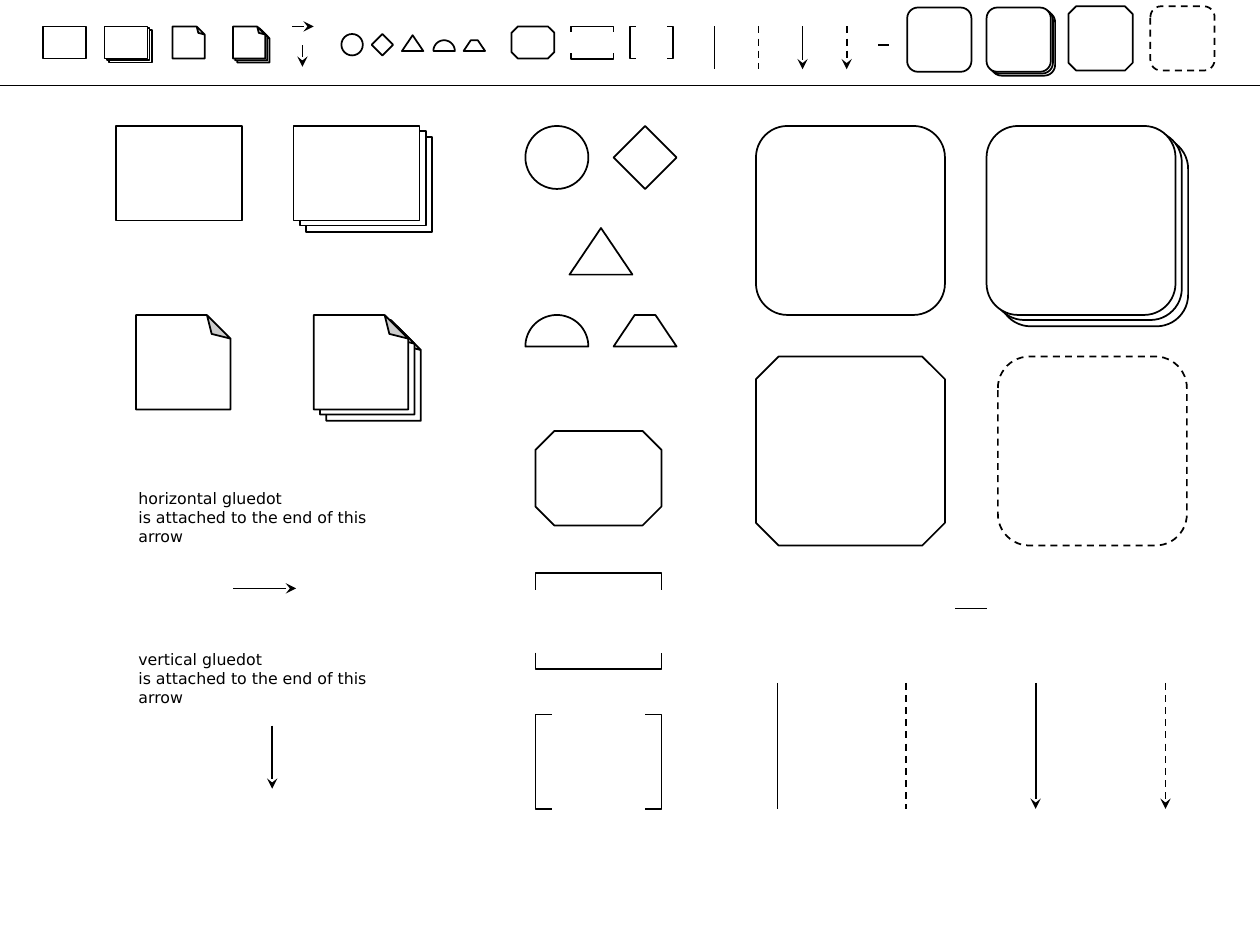
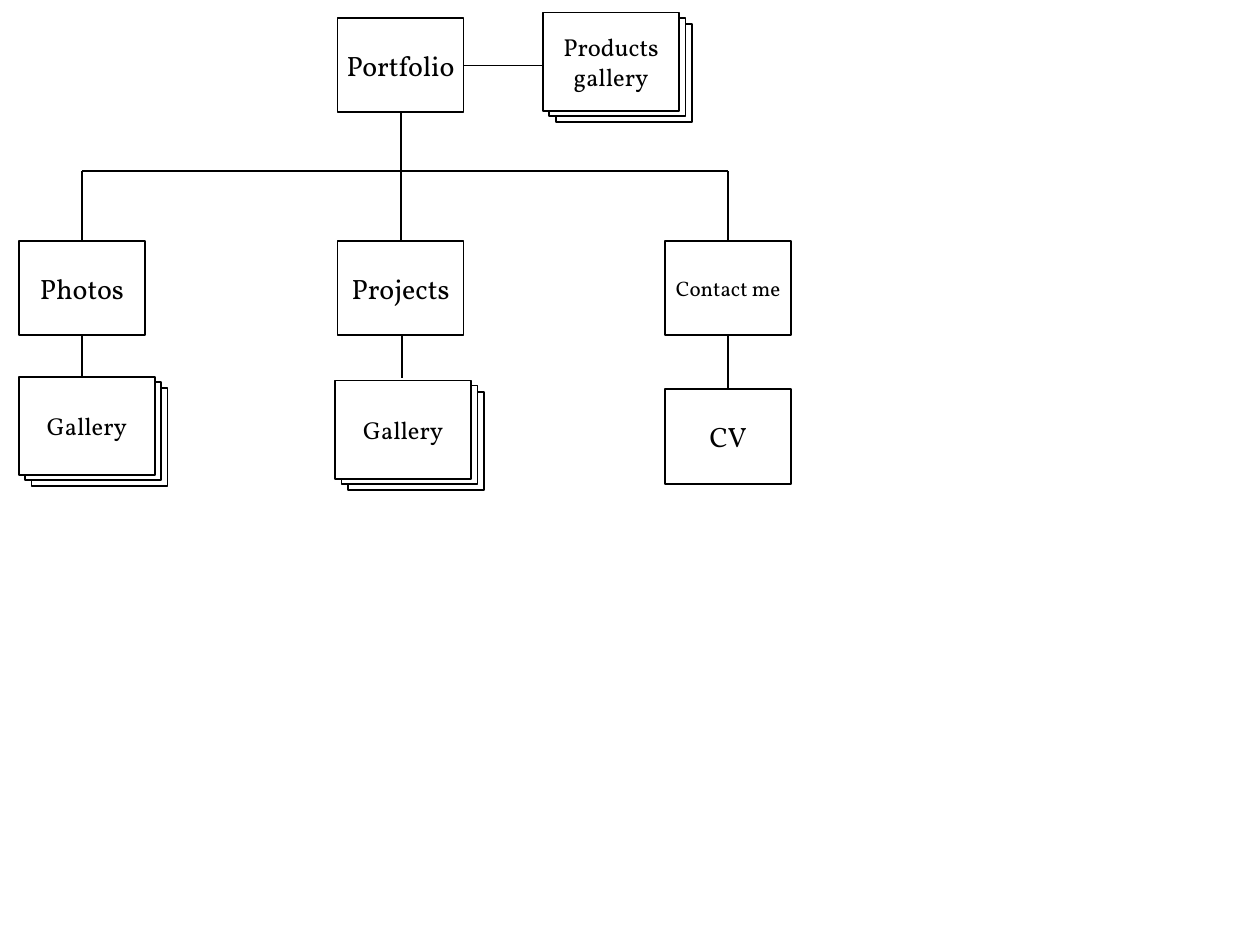
from dataclasses import dataclass
from math import cos, pi, sin

from lxml import etree
from pptx import Presentation
from pptx.dml.color import RGBColor
from pptx.enum.dml import MSO_LINE_DASH_STYLE as Dash
from pptx.enum.shapes import MSO_CONNECTOR, MSO_SHAPE as Kind
from pptx.enum.text import MSO_ANCHOR as Anchor, PP_ALIGN as Align
from pptx.oxml.ns import qn
from pptx.util import Inches, Pt


@dataclass(frozen=True)
class Theme:
    ink: RGBColor = RGBColor(0, 0, 0)
    paper: RGBColor = RGBColor(255, 255, 255)
    node_font: str = "Vollkorn"
    note_font: str = "DejaVu Sans"
    node_size: float = 16
    gallery_size: float = 14
    small_size: float = 12
    note_size: float = 9
    outline: float = 1
    divider: float = 0.75
    stack_offsets: tuple = ((0.1, 0.09), (0.05, 0.04))


theme = Theme()


def place(slide, kind, left, top, width=0, height=0, text="", scale=1, stacked=False,
          dashed=False, rotation=0, adjust=None, font=theme.node_font,
          size=theme.node_size, align=Align.CENTER, anchor=Anchor.MIDDLE, wrap=False):
    """Add a text box (kind None), an outline (kind a point list) or a preset shape."""
    if stacked:
        for dx, dy in theme.stack_offsets:
            place(slide, kind, left + dx * scale, top + dy * scale, width, height,
                  scale=scale, rotation=rotation, adjust=adjust)
    box = [Inches(left), Inches(top), Inches(width * scale), Inches(height * scale)]
    if kind is None:
        item = slide.shapes.add_textbox(*box)
    elif isinstance(kind, list):
        points = [(Inches(x * scale), Inches(y * scale)) for x, y in kind]
        builder = slide.shapes.build_freeform(*points[0])
        builder.add_line_segments(points[1:], close=False)
        item = builder.convert_to_shape(box[0], box[1])
    else:
        item = slide.shapes.add_shape(kind, *box)
        item.rotation = rotation
        if adjust is not None:
            guides = item._element.spPr.find(qn("a:prstGeom")).find(qn("a:avLst"))
            guides.clear()
            etree.SubElement(guides, qn("a:gd"), name="adj",
                             fmla=f"val {round(adjust * 100000)}")
    if kind is not None:
        item.shadow.inherit = False
        if isinstance(kind, list) and kind[0] != kind[-1]:
            item.fill.background()
        else:
            item.fill.solid()
            item.fill.fore_color.rgb = theme.paper
        item.line.color.rgb = theme.ink
        item.line.width = Pt(theme.outline)
        if dashed:
            item.line.dash_style = Dash.DASH
    if text:
        frame = item.text_frame
        frame.word_wrap = wrap
        frame.vertical_anchor = anchor
        for i, line in enumerate(text.split("\n")):
            paragraph = frame.add_paragraph() if i else frame.paragraphs[0]
            paragraph.alignment = align
            run = paragraph.add_run()
            run.text = line
            run.font.name, run.font.size = font, Pt(size)
            run.font.color.rgb = theme.ink


def connect(slide, x1, y1, x2, y2, dashed=False, arrow=False, weight=theme.outline):
    """Add a straight line, optionally dashed or with an arrowhead at its end."""
    link = slide.shapes.add_connector(
        MSO_CONNECTOR.STRAIGHT, Inches(x1), Inches(y1), Inches(x2), Inches(y2))
    link.line.color.rgb = theme.ink
    link.line.width = Pt(weight)
    if dashed:
        link.line.dash_style = Dash.DASH
    properties = link._element.spPr
    if arrow:
        etree.SubElement(properties.find(qn("a:ln")), qn("a:tailEnd"), type="stealth")
    etree.SubElement(properties, qn("a:effectLst"))


deck = Presentation()
deck.slide_width, deck.slide_height = Inches(10), Inches(7.5)
blank = deck.slide_layouts[6]

# Slide 1: stencil sheet, each symbol at full size and again in the palette on top
stencils = deck.slides.add_slide(blank)
PALETTE_SCALE = 0.34

arc = [(0.25 - 0.25 * cos(pi * i / 36), 0.25 - 0.25 * sin(pi * i / 36))
       for i in range(1, 36)]
half_disc = [(0, 0.25), *arc, (0.5, 0.25), (0, 0.25)]
bracket_top = [(0, 0.13), (0, 0), (1, 0), (1, 0.13)]
bracket_bottom = [(0, 0.63), (0, 0.76), (1, 0.76), (1, 0.63)]
bracket_left = [(0.13, 0), (0, 0), (0, 0.75), (0.13, 0.75)]
bracket_right = [(0.87, 0), (1, 0), (1, 0.75), (0.87, 0.75)]

# kind, full-size position, palette position, full size, format
symbols = [
    (Kind.FLOWCHART_PROCESS, (0.92, 1), (0.34, 0.21), (1, 0.75), {}),
    (Kind.FLOWCHART_PROCESS, (2.33, 1), (0.83, 0.21), (1, 0.75), {"stacked": True}),
    (Kind.FOLDED_CORNER, (1.08, 2.5), (1.37, 0.21), (0.75, 0.75),
     {"rotation": 270, "adjust": 0.25}),
    (Kind.FOLDED_CORNER, (2.49, 2.5), (1.85, 0.21), (0.75, 0.75),
     {"rotation": 270, "adjust": 0.25, "stacked": True}),
    (Kind.OVAL, (4.17, 1), (2.71, 0.27), (0.5, 0.5), {}),
    (Kind.DIAMOND, (4.87, 1), (2.95, 0.27), (0.5, 0.5), {}),
    (Kind.ISOSCELES_TRIANGLE, (4.52, 1.81), (3.19, 0.28), (0.5, 0.37), {}),
    (half_disc, (4.17, 2.5), (3.44, 0.32), (0.5, 0.25), {}),
    (Kind.TRAPEZOID, (4.87, 2.5), (3.68, 0.32), (0.5, 0.25), {"adjust": 0.67}),
    (Kind.OCTAGON, (4.25, 3.42), (4.06, 0.21), (1, 0.75), {"adjust": 0.2}),
    (bracket_top, (4.25, 4.55), (4.53, 0.21), (1, 0.13), {}),
    (bracket_bottom, (4.25, 4.55), (4.53, 0.21), (1, 0.13), {}),
    (bracket_left, (4.25, 5.67), (5, 0.21), (0.13, 0.75), {}),
    (bracket_right, (4.25, 5.67), (5, 0.21), (0.13, 0.75), {}),
    (Kind.FLOWCHART_ALTERNATE_PROCESS, (6, 1), (7.2, 0.06), (1.5, 1.5), {}),
    (Kind.FLOWCHART_ALTERNATE_PROCESS, (7.83, 1), (7.83, 0.06), (1.5, 1.5),
     {"stacked": True}),
    (Kind.OCTAGON, (6, 2.83), (8.48, 0.05), (1.5, 1.5), {"adjust": 0.12}),
    (Kind.FLOWCHART_ALTERNATE_PROCESS, (7.92, 2.83), (9.13, 0.05), (1.5, 1.5),
     {"dashed": True}),
]
for kind, full_at, palette_at, extent, style in symbols:
    for position, scale in ((full_at, 1), (palette_at, PALETTE_SCALE)):
        place(stencils, kind, *position, *extent, scale=scale, **style)

# Lines and arrows: full-size start, palette start, full-size run, format
strokes = [
    ((1.85, 4.67), (2.32, 0.21), (0.5, 0), {"arrow": True}),
    ((2.16, 5.76), (2.4, 0.36), (0, 0.5), {"arrow": True}),
    ((6.17, 5.42), (5.67, 0.21), (0, 1), {}),
    ((7.19, 5.42), (6.02, 0.21), (0, 1), {"dashed": True}),
    ((8.22, 5.42), (6.37, 0.21), (0, 1), {"arrow": True}),
    ((9.25, 5.42), (6.72, 0.21), (0, 1), {"dashed": True, "arrow": True}),
    ((7.58, 4.83), (6.97, 0.36), (0.25, 0), {}),
]
for full_at, palette_at, (dx, dy), style in strokes:
    for (x, y), scale in ((full_at, 1), (palette_at, PALETTE_SCALE)):
        connect(stencils, x, y, x + dx * scale, y + dy * scale, **style)

# Palette divider and gluedot notes
connect(stencils, 0, 0.68, 10, 0.68, weight=theme.divider)
for direction, top in (("horizontal", 3.83), ("vertical", 5.11)):
    place(stencils, None, 1, top, 2.25, 0.4,
          f"{direction} gluedot\nis attached to the end of this arrow",
          font=theme.note_font, size=theme.note_size, align=Align.LEFT,
          anchor=Anchor.TOP, wrap=True)

# Slide 2: site map
site_map = deck.slides.add_slide(blank)

# Links between pages, drawn behind the boxes
links = [
    (3.18, 0.89, 3.18, 1.91),
    (0.65, 1.36, 5.78, 1.36),
    (0.65, 1.36, 0.65, 1.91),
    (5.78, 1.36, 5.78, 1.91),
    (3.68, 0.52, 4.31, 0.52),
    (0.65, 2.66, 0.65, 2.99),
    (3.19, 2.67, 3.19, 3),
    (5.78, 2.66, 5.78, 3.09),
]
for link_ends in links:
    connect(site_map, *link_ends)

# Single pages
pages = [
    ("Portfolio", 2.68, 0.14, theme.node_size),
    ("Photos", 0.15, 1.91, theme.node_size),
    ("Projects", 2.68, 1.91, theme.node_size),
    ("Contact me", 5.28, 1.91, theme.small_size),
    ("CV", 5.28, 3.09, theme.node_size),
]
for label, left, top, size in pages:
    place(site_map, Kind.FLOWCHART_PROCESS, left, top, 1, 0.75, label, size=size)

# Stacked gallery pages
galleries = [("Products\ngallery", 4.31, 0.1), ("Gallery", 0.15, 2.99), ("Gallery", 2.66, 3.02)]
for label, left, top in galleries:
    place(site_map, Kind.FLOWCHART_PROCESS, left, top, 1.08, 0.78, label,
          stacked=True, size=theme.gallery_size)

deck.save("out.pptx")
